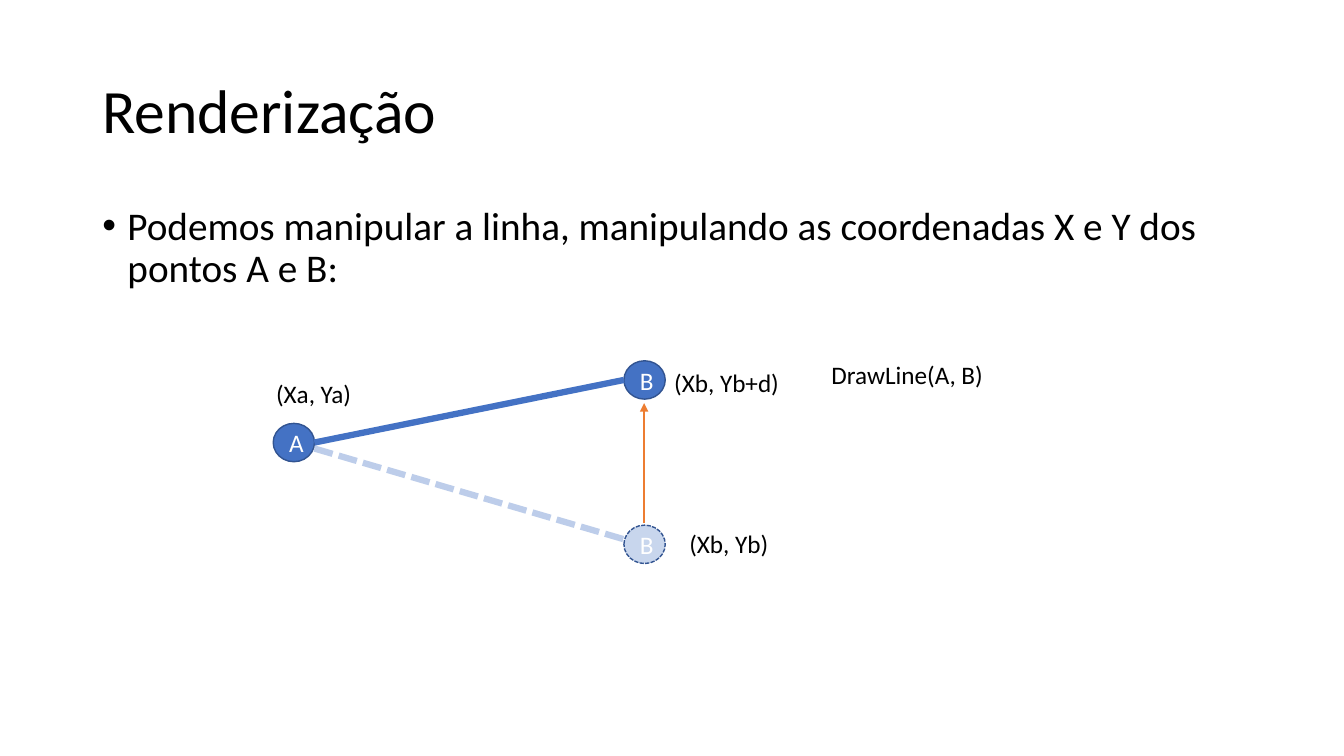
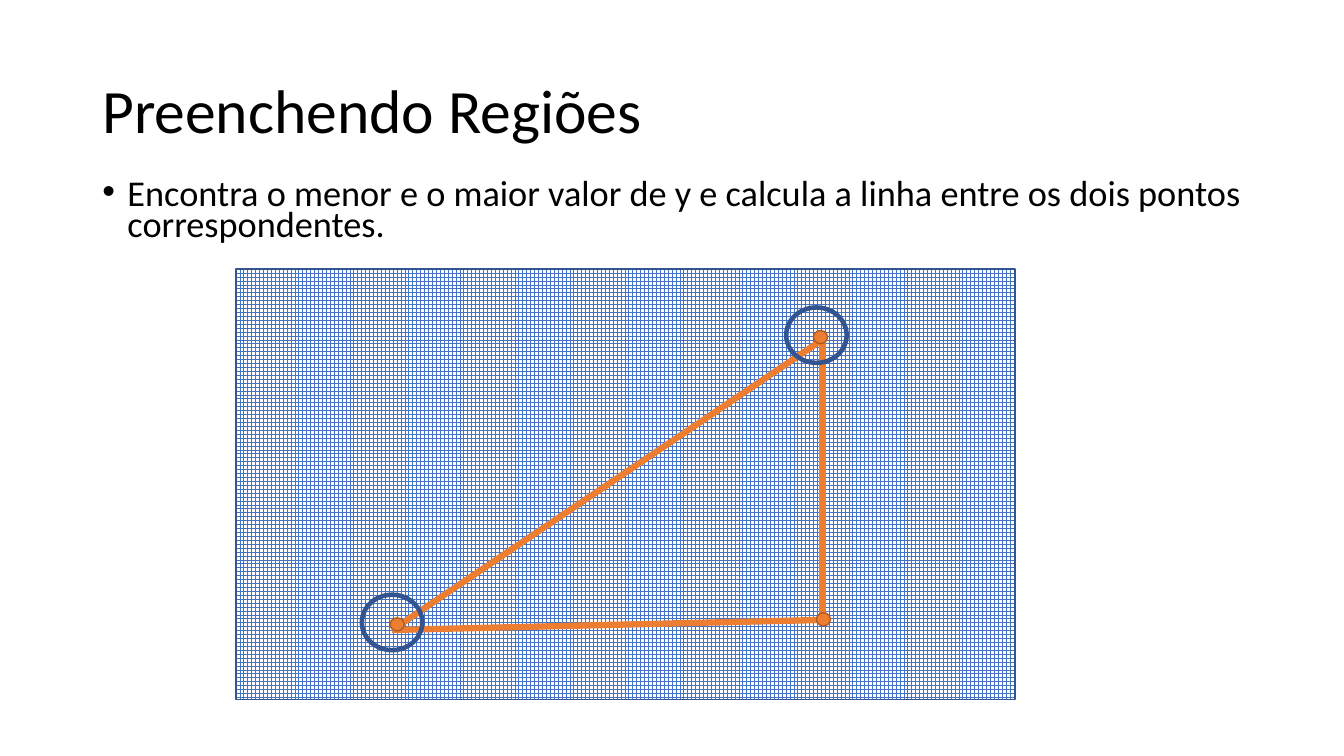
import pptx
import pptx.util
import pptx.dml.color
import pptx.enum.dml
import pptx.enum.shapes
import pptx.enum.text
import pptx.oxml.ns
import lxml.etree

Pt = pptx.util.Pt
DASH = pptx.enum.dml.MSO_LINE.SQUARE_DOT
MIDDLE = pptx.enum.text.MSO_ANCHOR.MIDDLE
BLUE, NAVY, ORANGE, BROWN = "4472C4", "325491", "ED7D31", "AF5C24"
WHITE, BLACK = "FFFFFF", "000000"

# Shared layout: left, top, width, height
TITLE_BOX = (66, 28.8, 828, 104.4)

# Slide 1: a line whose end B is moved upwards
RENDERING = {
    "title": "Renderização",
    "body": "Podemos manipular a linha, manipulando as coordenadas X e Y dos pontos A e B:",
    "body_box": (66, 144, 828, 342.7),
    "size": 28,
    "spacing": 0.9,
}
NODE_SIZE = (29.5, 27.4)
NODES = [  # letter, centre, faded
    ("A", (209.9, 316.1), False),
    ("B", (460.4, 388.8), True),
    ("B", (460.4, 271.4), False),
]
LABELS = [  # text, box, wrap
    ("DrawLine(A, B)", (586.8, 253.4, 154.8, 28.8), True),
    ("(Xa, Ya)", (190.1, 266.4, 69.1, 28.8), False),
    ("(Xb, Yb)", (485.3, 373.7, 72, 28.8), False),
    ("(Xb, Yb+d)", (474.5, 258.5, 90.7, 28.8), False),
]
SEGMENTS = [  # start, end, format
    ((224.6, 320.4), (445.7, 385.2),
     {"color": BLUE, "width": 4.5, "dash": DASH, "alpha": 34}),
    ((460.1, 373.7), (460.1, 288), {"color": ORANGE, "width": 1.5, "arrow": True}),
    ((224.6, 316.1), (445.7, 271.4), {"color": BLUE, "width": 4.5}),
]

# Slide 2: a triangle over a pixel grid
FILLING = {
    "title": "Preenchendo Regiões",
    "body": "Encontra o menor e o maior valor de y e calcula a linha entre os dois "
            "pontos correspondentes.",
    "body_box": (66, 126.7, 828, 54.7),
    "size": 25.9,
    "spacing": 0.7,
}
GRID_BOX = (168.5, 192.2, 556.6, 307.4)
SIDES = [
    ((280.1, 450), (587.5, 242.6)),
    ((587.5, 442.8), (587.5, 241.2)),
    ((280.1, 450), (587.5, 442.8)),
]
DOT_SIZE, DOTS = (10.1, 9.4), [(283.7, 446), (586.1, 240.8), (588.2, 442.4)]
RING_SIZE, RINGS = (43.2, 39.6), [(280.1, 444.6), (583.2, 239.4)]


def rgb(value):
    return pptx.dml.color.RGBColor.from_string(value)


def set_values(target, values):
    for name, value in values.items():
        setattr(target, name, value)


def add_child(parent, tag, **attributes):
    child = lxml.etree.SubElement(parent, pptx.oxml.ns.qn(tag))
    for name, value in attributes.items():
        child.set(name, value)
    return child


def set_alpha(shape, fill_query, percent):
    for color in shape._element.spPr.xpath(fill_query + "/a:srgbClr"):
        add_child(color, "a:alpha", val=str(percent * 1000))


def write(shape, text, size, color=BLACK, frame=None, paragraph=None, bullet=False):
    set_values(shape.text_frame, frame or {})
    first = shape.text_frame.paragraphs[0]
    if bullet:
        properties = first._p.get_or_add_pPr()
        properties.set("marL", str(Pt(18)))
        properties.set("indent", str(-Pt(18)))
        add_child(properties, "a:buFont", typeface="Arial")
        add_child(properties, "a:buChar", char="•")
    set_values(first, paragraph or {})
    run = first.add_run()
    run.text = text
    set_values(run.font, {"name": "Calibri", "size": Pt(size)})
    run.font.color.rgb = rgb(color)


def add_text(slide, box, text, size, **options):
    write(slide.shapes.add_textbox(*map(Pt, box)), text, size, **options)


def add_shape(slide, kind, box, line, width=1, fill=None):
    shape = slide.shapes.add_shape(kind, *map(Pt, box))
    shape.shadow.inherit = False
    if fill:
        shape.fill.solid()
        shape.fill.fore_color.rgb = rgb(fill)
    else:
        shape.fill.background()
    shape.line.color.rgb = rgb(line)
    shape.line.width = Pt(width)
    return shape


def add_ellipse(slide, centre, size, line, **options):
    (x, y), (width, height) = centre, size
    box = (x - width / 2, y - height / 2, width, height)
    return add_shape(slide, pptx.enum.shapes.MSO_SHAPE.OVAL, box, line, **options)


def add_line(slide, start, end, color, width, dash=None, alpha=None, arrow=False):
    connector = slide.shapes.add_connector(
        pptx.enum.shapes.MSO_CONNECTOR.STRAIGHT, *map(Pt, start + end))
    connector.line.color.rgb = rgb(color)
    connector.line.width = Pt(width)
    if dash:
        connector.line.dash_style = dash
    if alpha:
        set_alpha(connector, "./a:ln/a:solidFill", alpha)
    properties = connector._element.spPr
    if arrow:
        add_child(properties.find(pptx.oxml.ns.qn("a:ln")), "a:tailEnd", type="triangle")
    add_child(properties, "a:effectLst")


def add_slide(presentation, content):
    slide = presentation.slides.add_slide(presentation.slide_layouts[6])
    add_text(slide, TITLE_BOX, content["title"], 44,
             frame={"word_wrap": True, "vertical_anchor": MIDDLE},
             paragraph={"line_spacing": 0.9})
    add_text(slide, content["body_box"], content["body"], content["size"],
             frame={"word_wrap": True},
             paragraph={"line_spacing": content["spacing"]}, bullet=True)
    return slide


def build_rendering(presentation):
    slide = add_slide(presentation, RENDERING)
    # Points
    for letter, centre, faded in NODES:
        node = add_ellipse(slide, centre, NODE_SIZE, NAVY, fill=BLUE)
        if faded:
            set_alpha(node, "./a:solidFill", 29)
            node.line.dash_style = DASH
        write(node, letter, 18, WHITE, {"vertical_anchor": MIDDLE},
              {"alignment": pptx.enum.text.PP_ALIGN.CENTER})
    # Coordinates and call
    for text, box, wrap in LABELS:
        add_text(slide, box, text, 18, frame={
            "word_wrap": wrap,
            "auto_size": pptx.enum.text.MSO_AUTO_SIZE.SHAPE_TO_FIT_TEXT})
    # Lines and movement arrow
    for start, end, values in SEGMENTS:
        add_line(slide, start, end, **values)


def build_filling(presentation):
    slide = add_slide(presentation, FILLING)
    # Pixel grid
    grid = add_shape(slide, pptx.enum.shapes.MSO_SHAPE.RECTANGLE, GRID_BOX, NAVY)
    grid.fill.patterned()
    grid.fill.pattern = pptx.enum.dml.MSO_PATTERN.LARGE_GRID
    grid.fill.fore_color.rgb = rgb(BLUE)
    grid.fill.back_color.rgb = rgb(WHITE)
    # Triangle with its vertices
    for start, end in SIDES:
        add_line(slide, start, end, ORANGE, 4.5)
    for centre in DOTS:
        add_ellipse(slide, centre, DOT_SIZE, BROWN, fill=ORANGE)
    # Lowest and highest vertex
    for centre in RINGS:
        add_ellipse(slide, centre, RING_SIZE, NAVY, width=3.25)


def main():
    presentation = pptx.Presentation()
    set_values(presentation, {"slide_width": Pt(960), "slide_height": Pt(540)})
    build_rendering(presentation)
    build_filling(presentation)
    presentation.save("out.pptx")


if __name__ == "__main__":
    main()
